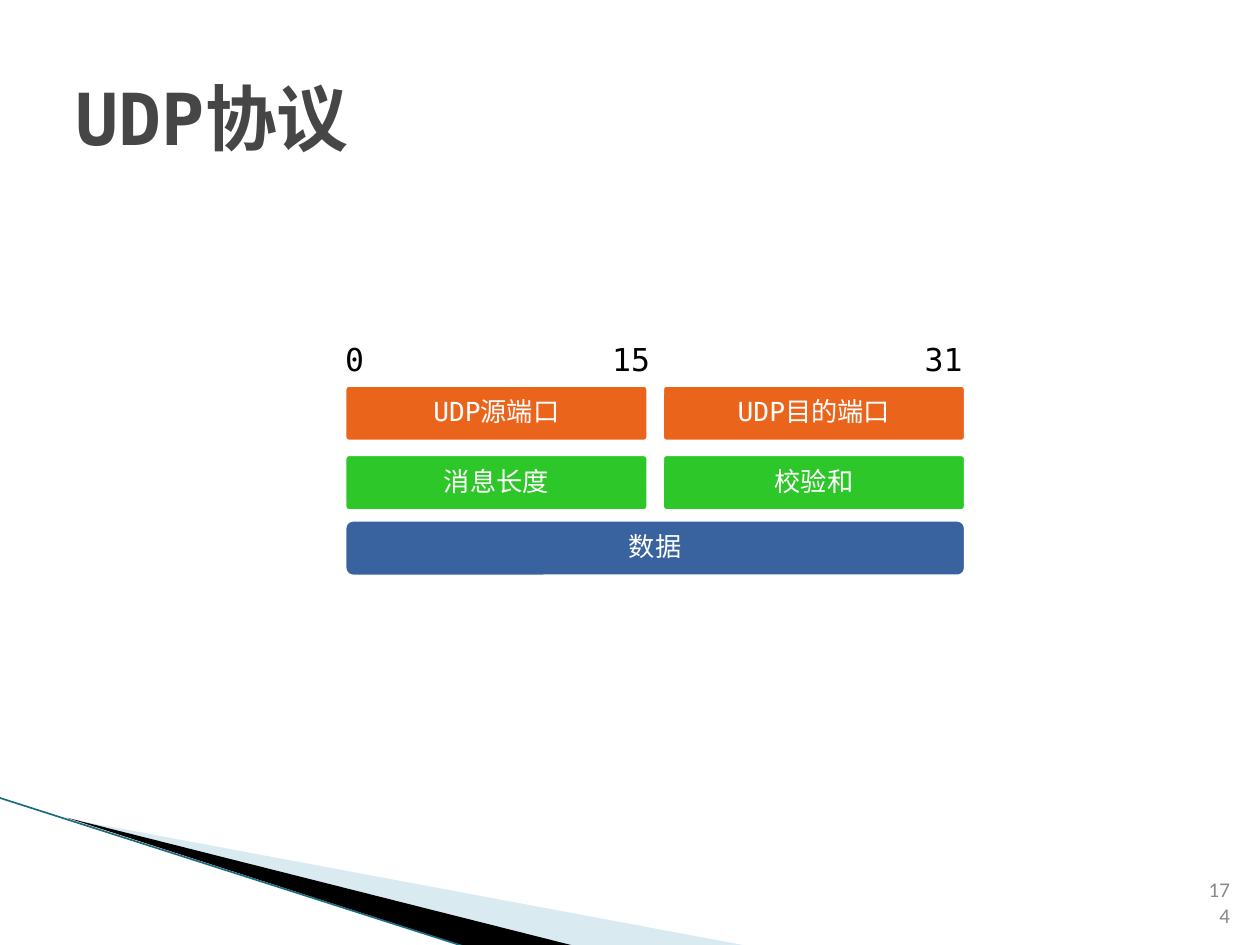
from lxml.etree import SubElement
from pptx import Presentation
from pptx.dml.color import RGBColor
from pptx.enum.shapes import MSO_CONNECTOR, MSO_SHAPE
from pptx.enum.text import MSO_ANCHOR, PP_ALIGN
from pptx.oxml.ns import qn
from pptx.util import Inches, Pt

COLORS = {
    "title": "464646", "text": "000000", "number": "898989", "white": "FFFFFF",
    "port": "EB641B", "check": "2EC729", "data": "39639E",
    "pale": "A0CBDC", "black": "000000", "edge": "1B6C80",
}
MONO, CJK, SANS = "DejaVu Sans Mono", "Noto Sans CJK SC", "Calibri"

# Header grid: two 16-bit columns, three rows
GRID_LEFT, GRID_TOP = 2.72, 3.04
COLUMN_WIDTH, COLUMN_STEP = 2.44, 2.52
ROW_TOPS = [GRID_TOP, 3.59, 4.11]
ROW_HEIGHT = 0.48

# Column, row, column span, label, colour
FIELDS = [
    (0, 0, 1, "UDP源端口", "port"),
    (0, 1, 1, "消息长度", "check"),
    (0, 2, 2, "数据", "data"),
    (1, 0, 1, "UDP目的端口", "port"),
    (1, 1, 1, "校验和", "check"),
]
BITS = [("0", 2.64, 0.36), ("15", 4.76, 0.52), ("31", 7.24, 0.52)]


def color(name):
    return RGBColor.from_string(COLORS[name])


def write(shape, text, size, color_name, font=MONO, bold=False,
          align=PP_ALIGN.LEFT, anchor=MSO_ANCHOR.TOP):
    """Fill the shape with one paragraph; Chinese letters use the CJK font."""
    frame = shape.text_frame
    frame.vertical_anchor = anchor
    paragraph = frame.paragraphs[0]
    paragraph.text = text
    paragraph.alignment = align
    paragraph.font.size = Pt(size)
    paragraph.font.bold = bold
    paragraph.font.color.rgb = color(color_name)
    paragraph.font.name = font
    properties = paragraph._p.pPr.find(qn("a:defRPr"))
    SubElement(properties, qn("a:ea")).set("typeface", CJK)
    return paragraph


def add_text(slide, left, top, width, height, text, size, color_name,
             wrap=True, **style):
    box = slide.shapes.add_textbox(
        Inches(left), Inches(top), Inches(width), Inches(height))
    box.text_frame.word_wrap = wrap
    write(box, text, size, color_name, **style)


def add_field(slide, column, row, span, label, color_name):
    width = COLUMN_WIDTH + (span - 1) * COLUMN_STEP
    shape = slide.shapes.add_shape(
        MSO_SHAPE.ROUNDED_RECTANGLE,
        Inches(GRID_LEFT + column * COLUMN_STEP), Inches(ROW_TOPS[row]),
        Inches(width), Inches(ROW_HEIGHT))
    shape.adjustments[0] = 0.17 if span == 2 else 0.1
    shape.shadow.inherit = False
    shape.fill.solid()
    shape.fill.fore_color.rgb = color(color_name)
    shape.line.color.rgb = color("white")
    shape.line.width = Pt(4.33)
    shape.text_frame.word_wrap = True
    paragraph = write(shape, label, 15, "white", align=PP_ALIGN.CENTER,
                      anchor=MSO_ANCHOR.MIDDLE)
    paragraph.line_spacing = 0.9


def add_wedge(slide, points, color_name, opacity=100):
    start, *others = [(Inches(x), Inches(y)) for x, y in points]
    builder = slide.shapes.build_freeform(*start)
    builder.add_line_segments(others)
    shape = builder.convert_to_shape()
    shape.shadow.inherit = False
    shape.fill.solid()
    shape.fill.fore_color.rgb = color(color_name)
    shape.line.fill.background()
    if opacity < 100:
        fill = shape._element.spPr.find(qn("a:solidFill"))
        SubElement(fill[0], qn("a:alpha")).set("val", str(opacity * 1000))


def add_edge(slide, start, end):
    line = slide.shapes.add_connector(
        MSO_CONNECTOR.STRAIGHT, *[Inches(value) for value in start + end])
    line.line.color.rgb = color("edge")
    line.line.width = Pt(0.95)
    SubElement(line._element.spPr, qn("a:effectLst"))


def add_corner_decoration(slide):
    add_wedge(slide, [(0.55, 6.5), (5.95, 7.51), (4.56, 7.51)], "pale", 40)
    add_wedge(slide, [(0.53, 6.49), (4.57, 7.51), (3.72, 7.52)], "black")
    add_edge(slide, (-0.01, 6.33), (3.71, 7.52))


def main():
    presentation = Presentation()
    presentation.slide_width = Inches(10)
    presentation.slide_height = Inches(7.5)
    slide = presentation.slides.add_slide(presentation.slide_layouts[6])

    add_corner_decoration(slide)
    add_text(slide, 9.46, 7.01, 0.4, 0.4, "174", 12, "number", font=SANS,
             align=PP_ALIGN.RIGHT, anchor=MSO_ANCHOR.BOTTOM)
    add_text(slide, 0.5, 0.3, 9, 1.25, "UDP协议", 41, "title", bold=True,
             anchor=MSO_ANCHOR.MIDDLE)
    for field in FIELDS:
        add_field(slide, *field)
    for label, left, width in BITS:
        add_text(slide, left, 2.65, width, 0.4, label, 18, "text", wrap=False)

    presentation.save("out.pptx")


if __name__ == "__main__":
    main()
